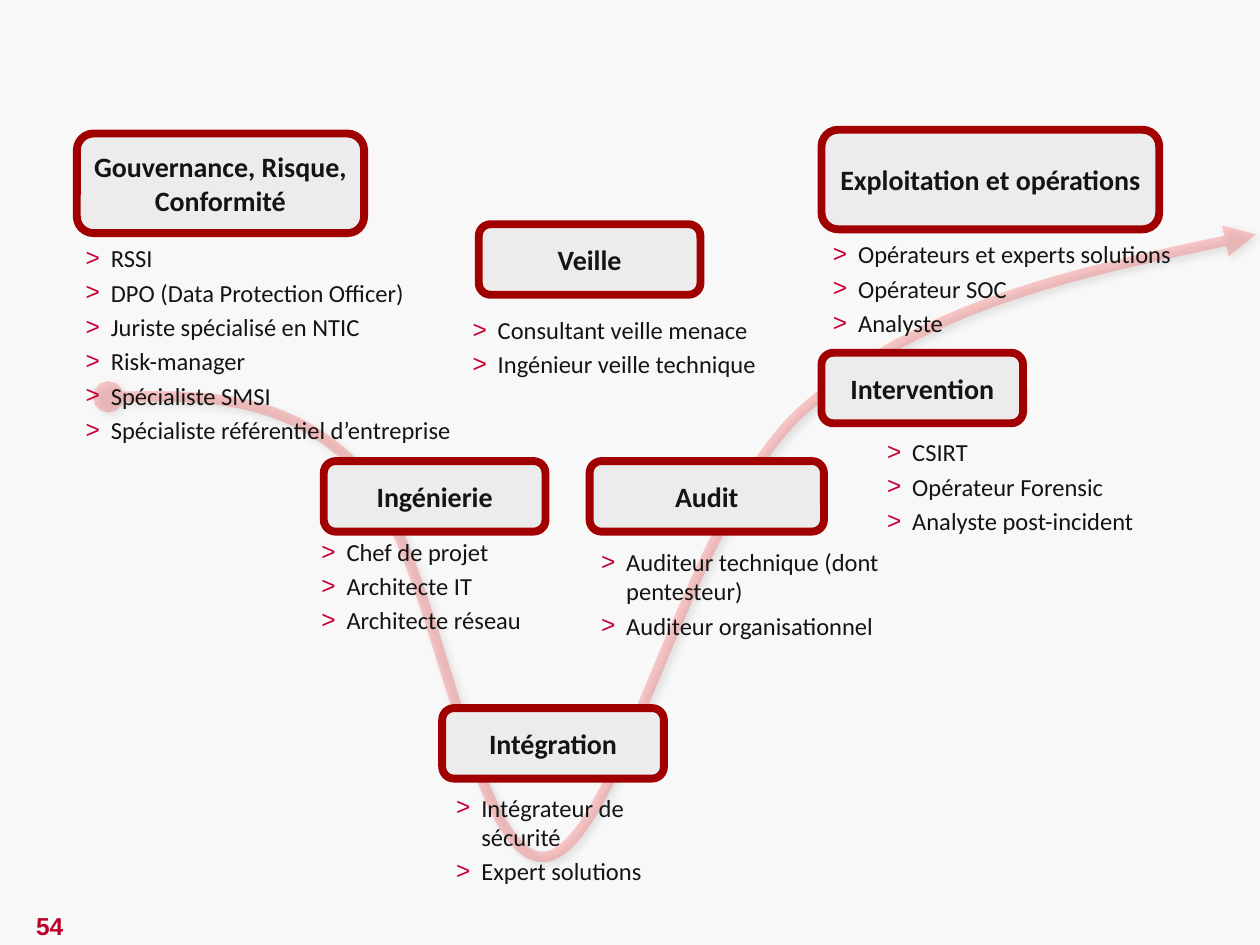
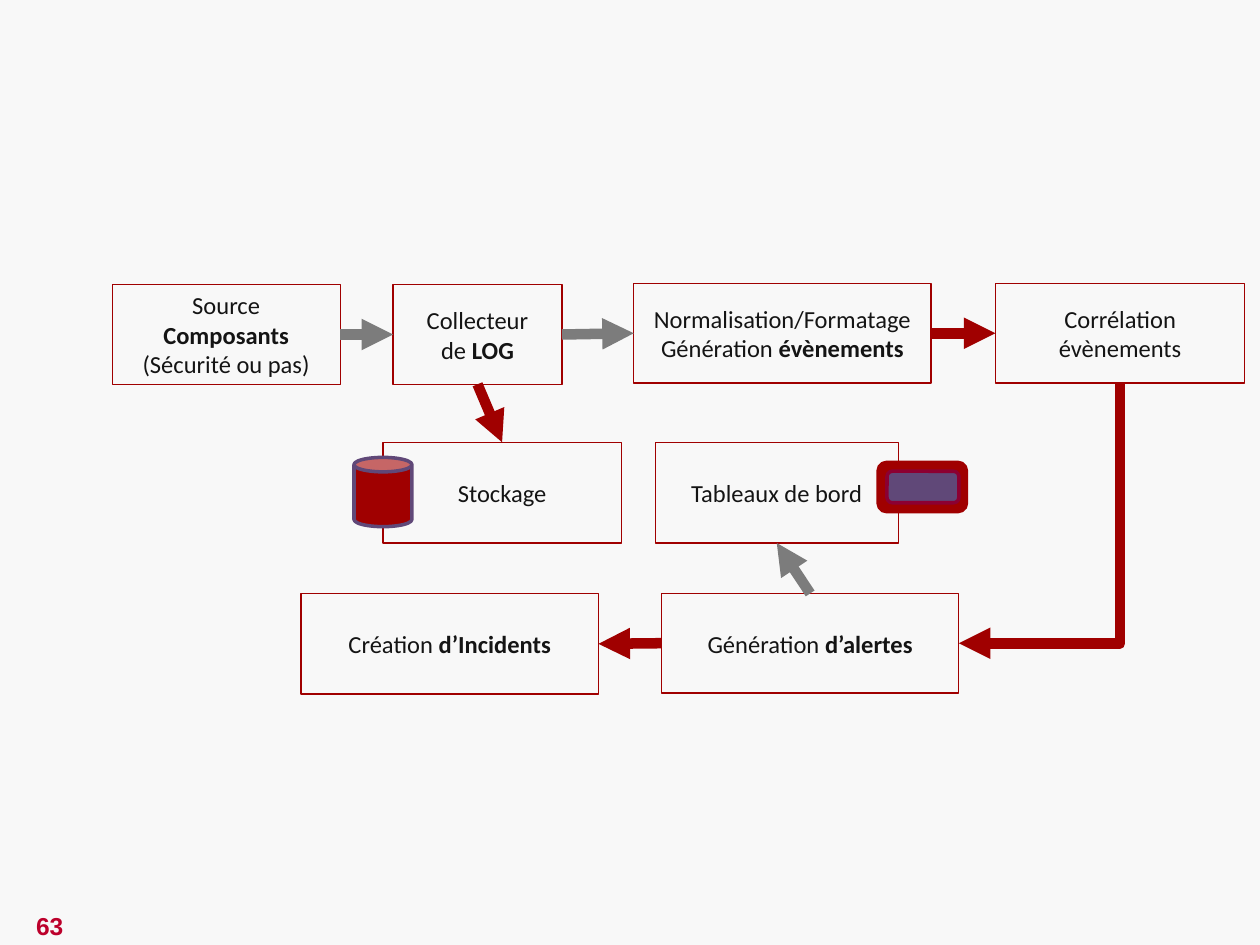
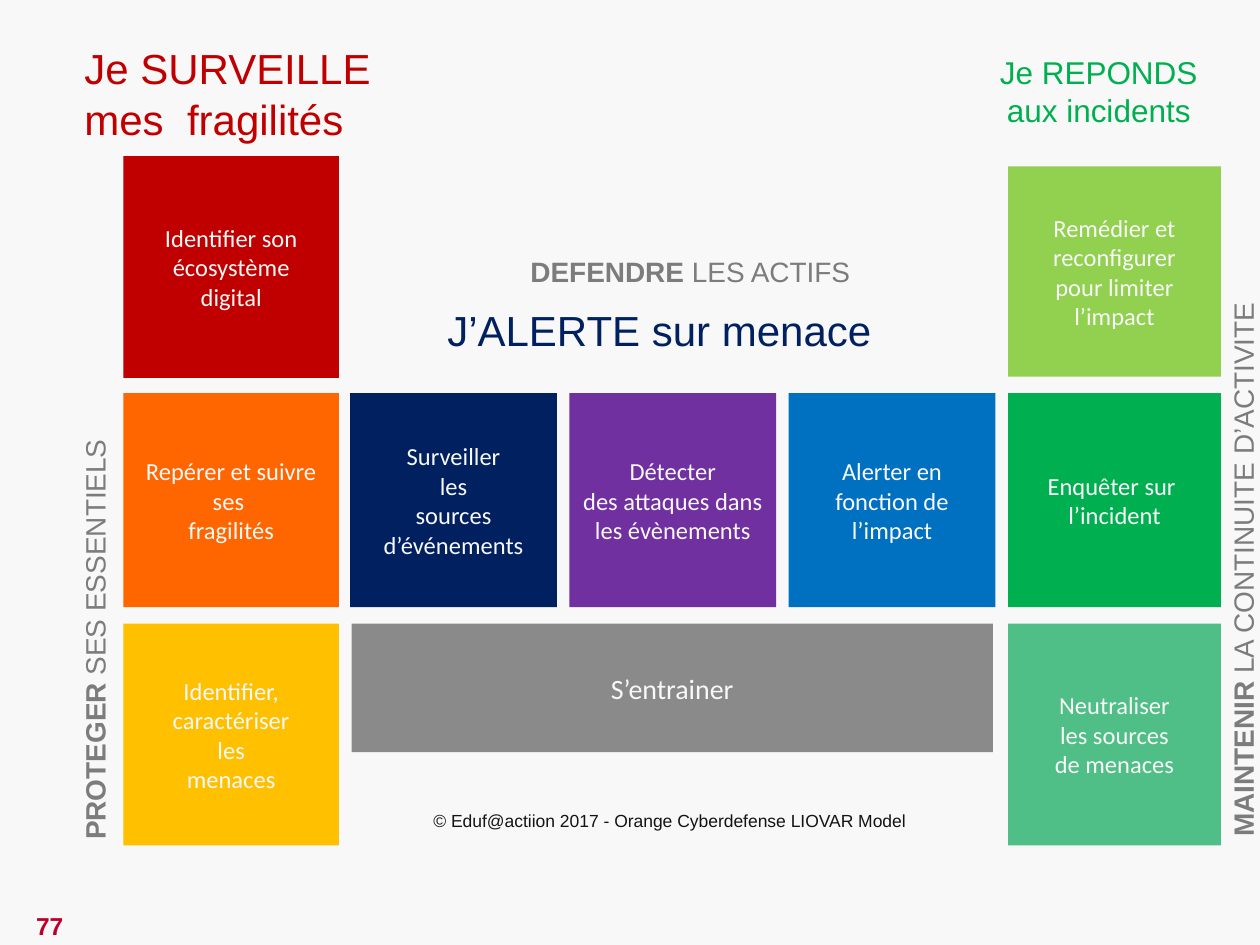
from lxml import etree
from pptx import Presentation
from pptx.dml.color import RGBColor
from pptx.enum.shapes import MSO_CONNECTOR, MSO_SHAPE
from pptx.enum.text import MSO_ANCHOR, PP_ALIGN
from pptx.oxml.ns import qn
from pptx.util import Emu, Inches, Pt

RECT, ROUND, CAN = MSO_SHAPE.RECTANGLE, MSO_SHAPE.ROUNDED_RECTANGLE, MSO_SHAPE.CAN
STRAIGHT, ELBOW = MSO_CONNECTOR.STRAIGHT, MSO_CONNECTOR.ELBOW
LEFT, CENTER = PP_ALIGN.LEFT, PP_ALIGN.CENTER
TOP, MIDDLE = MSO_ANCHOR.TOP, MSO_ANCHOR.MIDDLE
UP, WEST, DOWN, EAST = range(4)  # connection sites of a rectangle

# Grid: 100 columns by 75 rows
WIDTH, HEIGHT = Inches(10), Inches(7.5)
COLS, ROWS = 100, 75

COLORS = {
    "page": "F8F8F8", "ink": "141414", "number": "BC002B", "bullet": "C80032",
    "panel": "ECECEC", "red": "A00000", "curve": "FF2D2D", "gray": "7C7C7C",
    "violet": "604878", "plum": "8C0032", "crimson": "C00000", "orange": "FF6600",
    "gold": "FFC000", "navy": "002060", "purple": "7030A0", "blue": "0070C0",
    "lime": "92D050", "green": "00B050", "mint": "50BE87", "steel": "8A8A8A",
}

FONTS = {
    "number": {"name": "Arial", "size": Pt(14), "bold": True},
    "tag": {"name": "Calibri", "size": Pt(16), "bold": True},
    "body": {"name": "Calibri", "size": Pt(14), "bold": False},
    "wide": {"name": "Calibri", "size": Pt(16), "bold": False},
    "head": {"name": "Arial", "size": Pt(24), "bold": False},
    "sub": {"name": "Arial", "size": Pt(18), "bold": False},
    "goal": {"name": "Arial", "size": Pt(16), "bold": False},
    "credit": {"name": "Arial", "size": Pt(10), "bold": False},
}


def rgb(name):
    return RGBColor.from_string(COLORS[name])


def child(node, tag, **attrs):
    return etree.SubElement(node, qn(tag), {key: str(val) for key, val in attrs.items()})


class Deck:
    def __init__(self):
        self.file = Presentation()
        self.file.slide_width, self.file.slide_height = WIDTH, HEIGHT
        self.slide = None

    def place(self, *box):
        """Turn grid columns and rows, in turn, into lengths."""
        cells = (WIDTH / COLS, HEIGHT / ROWS)
        return [Emu(round(val * cells[i % 2])) for i, val in enumerate(box)]

    def page(self, number):
        self.slide = self.file.slides.add_slide(self.file.slide_layouts[6])
        fill = self.slide.background.fill
        fill.solid()
        fill.fore_color.rgb = rgb("page")
        self.text((0, 71.8, 7.9, 3.4), str(number), "number", "number",
                  align=CENTER, anchor=MIDDLE)

    def words(self, shape, text, font, color, align=CENTER, anchor=MIDDLE,
              inset=(0.1, 0.05), wrap=True, bullet=False):
        """Set one paragraph a line; stars enclose bold words."""
        frame = shape.text_frame
        side, edge = map(Inches, inset)
        form = {"word_wrap": wrap, "vertical_anchor": anchor, "margin_left": side,
                "margin_right": side, "margin_top": edge, "margin_bottom": edge}
        for key, val in form.items():
            setattr(frame, key, val)
        for i, line in enumerate(text.split("\n")):
            para = frame.add_paragraph() if i else frame.paragraphs[0]
            para.alignment = align
            if bullet:
                self.mark(para)
                if i:
                    para.space_before = Pt(2.8)
            for j, part in enumerate(line.split("*")):
                if part:
                    run = para.add_run()
                    run.text = part
                    for key, val in FONTS[font].items():
                        setattr(run.font, key, val)
                    run.font.bold = FONTS[font]["bold"] or j % 2 == 1
                    run.font.color.rgb = rgb(color)

    def mark(self, para):
        props = para._p.get_or_add_pPr()
        props.set("marL", str(Inches(0.2)))
        props.set("indent", str(-Inches(0.2)))
        child(child(props, "a:buClr"), "a:srgbClr", val=COLORS["bullet"])
        child(props, "a:buFont", typeface="Arial")
        child(props, "a:buChar", char=">")

    def text(self, box, text, font, color, turn=0, align=LEFT, anchor=TOP, **form):
        shape = self.slide.shapes.add_textbox(*self.place(*box))
        shape.rotation = turn
        self.words(shape, text, font, color, align=align, anchor=anchor, **form)

    def label(self, box, text, font, color, **form):
        self.text(box, text, font, color, wrap=False, **{"inset": (0.07, 0.04), **form})

    def list(self, box, text):
        self.text(box, text, "body", "ink", inset=(0.07, 0.04), bullet=True)

    def shape(self, kind, box, fill=None, line=None, width=0.75):
        shape = self.slide.shapes.add_shape(kind, *self.place(*box))
        shape.shadow.inherit = False
        for part, color in ((shape.fill, fill), (shape.line.fill, line)):
            if color:
                part.solid()
                part.fore_color.rgb = rgb(color)
            else:
                part.background()
        if line:
            shape.line.width = Pt(width)
        return shape

    def tag(self, box, text):
        self.words(self.shape(ROUND, box, "panel", "red", 4.5), text, "tag", "ink")

    def step(self, box, text):
        shape = self.shape(RECT, box, line="red")
        self.words(shape, text, "body", "ink")
        return shape

    def tile(self, box, fill, text, font="body"):
        self.words(self.shape(RECT, box, fill), text, font, "page")

    def link(self, start, out, end, into, color, kind=STRAIGHT):
        line = self.slide.shapes.add_connector(kind, 0, 0, 0, 0)
        line.begin_connect(start, out)
        line.end_connect(end, into)
        line.line.color.rgb = rgb(color)
        line.line.width = Pt(6)
        child(line.line._get_or_add_ln(), "a:tailEnd", type="triangle")
        child(line._element.spPr, "a:effectLst")
        if kind == ELBOW:
            self.bend(line)

    def bend(self, line):
        """Make one corner: down, then left."""
        wide, high = line.width, line.height
        left, top = line.left + (wide - high) // 2, line.top + (high - wide) // 2
        props = line._element.spPr
        frame = props.find(qn("a:xfrm"))
        for key in ("flipH", "flipV"):
            frame.attrib.pop(key, None)
        frame.set("rot", str(90 * 60000))
        line.left, line.top, line.width, line.height = left, top, high, wide
        props.find(qn("a:prstGeom")).set("prst", "bentConnector2")

    def curve(self, start, points, color, width, alpha):
        """Draw Bezier arcs, three points each, as one arrow."""
        pen = self.slide.shapes.build_freeform(*self.place(*start))
        pen.add_line_segments([self.place(*point) for point in points], close=False)
        shape = pen.convert_to_shape()
        track = shape._element.find(".//" + qn("a:path"))
        lines = track.findall(qn("a:lnTo"))
        for i in range(0, len(lines), 3):
            arc = child(track, "a:cubicBezTo")
            for line in lines[i:i + 3]:
                arc.append(line[0])
                track.remove(line)
        shape.fill.background()
        shape.line.color.rgb = rgb(color)
        shape.line.width = Pt(width)
        edge = shape.line._get_or_add_ln()
        child(edge.find(".//" + qn("a:srgbClr")), "a:alpha", val=alpha * 1000)
        child(edge, "a:headEnd", type="oval")
        child(edge, "a:tailEnd", type="triangle")
        shape.shadow.inherit = False
        cast = child(shape._element.spPr.find(qn("a:effectLst")), "a:outerShdw",
                     blurRad=Pt(4), dist=Pt(3), dir=45 * 60000, algn="tl", rotWithShape=0)
        child(child(cast, "a:srgbClr", val="000000"), "a:alpha", val=40000)


def jobs(deck):
    deck.page(54)
    deck.curve((8.6, 31.5),
               [(15.8, 31.4), (22.9, 31.3), (28.7, 37.4),
                (34.5, 43.5), (37.5, 68.8), (43.3, 68),
                (49.2, 67.2), (54.4, 40.8), (63.8, 32.5),
                (73.2, 24.3), (86.4, 21.4), (99.7, 18.6)], "curve", 6, 24)
    # Fields of work
    for box, text in (
        ((25.7, 36.6, 17.6, 5.6), "Ingénierie"),
        ((46.8, 36.6, 18.6, 5.6), "Audit"),
        ((65.2, 10.3, 26.8, 7.9), "Exploitation et opérations"),
        ((65.2, 28, 16, 5.6), "Intervention"),
        ((6.1, 10.6, 22.8, 7.9), "Gouvernance, Risque, Conformité"),
        ((38, 17.8, 17.6, 5.6), "Veille"),
        ((35.1, 56.2, 17.6, 5.6), "Intégration"),
    ):
        deck.tag(box, text)
    # Roles in each field
    for box, text in (
        ((24.8, 42.2, 17.8, 9.1), "Chef de projet\nArchitecte IT\nArchitecte réseau"),
        ((47, 43, 25.1, 9.2),
         "Auditeur technique (dont pentesteur)\nAuditeur organisationnel"),
        ((65.4, 18.6, 32.1, 7.9),
         "Opérateurs et experts solutions\nOpérateur SOC\nAnalyste"),
        ((36.8, 24.6, 28.1, 12.4), "Consultant veille menace\nIngénieur veille technique"),
        ((69.7, 34.3, 26.3, 12.4), "CSIRT\nOpérateur Forensic\nAnalyste post-incident"),
        ((6.1, 18.9, 30.7, 18.9),
         "RSSI\nDPO (Data Protection Officer)\nJuriste spécialisé en NTIC\n"
         "Risk-manager\nSpécialiste SMSI\nSpécialiste référentiel d’entreprise"),
        ((35.5, 62.5, 18.5, 9.5), "Intégrateur de sécurité\nExpert solutions"),
    ):
        deck.list(box, text)


def flow(deck):
    deck.page(63)
    # Steps
    source = deck.step((8.9, 22.6, 18.1, 7.9), "Source\n*Composants*\n(Sécurité ou pas)")
    logs = deck.step((31.2, 22.6, 13.4, 7.9), "Collecteur\nde *LOG*")
    events = deck.step((50.3, 22.5, 23.6, 7.9),
                       "Normalisation/Formatage\nGénération *évènements*")
    match = deck.step((79, 22.5, 19.8, 7.9), "Corrélation\névènements")
    alerts = deck.step((52.5, 47.1, 23.6, 7.9), "Génération *d’alertes*")
    cases = deck.step((23.9, 47.1, 23.6, 8), "Création *d’Incidents*")
    boards = deck.step((52, 35.1, 19.3, 8), "Tableaux de bord")
    store = deck.step((30.4, 35.1, 18.9, 8), "Stockage")
    # Screen
    deck.shape(ROUND, (69.7, 36.7, 7, 3.9), "red", "red", 2)
    deck.shape(ROUND, (70.4, 37.4, 5.7, 2.5), "violet", "plum", 2)
    # Arrows
    deck.link(source, EAST, logs, WEST, "gray")
    deck.link(logs, EAST, events, WEST, "gray")
    deck.link(events, EAST, match, WEST, "red")
    deck.link(alerts, WEST, cases, EAST, "red")
    deck.link(match, DOWN, alerts, EAST, "red", ELBOW)
    deck.link(logs, DOWN, store, UP, "red")
    deck.link(alerts, UP, boards, DOWN, "gray")
    # Disk
    deck.shape(CAN, (28.1, 36.3, 4.6, 5.5), "red", "violet", 2)


def model(deck):
    deck.page(77)
    # Tiles: left and width of columns, top and height of rows
    cols = [(9.8, 17.1), *((27.8 + 17.4 * i, 16.4) for i in range(3)), (80, 16.9)]
    rows = {"top": (12.4, 17.6), "peak": (13.2, 16.7),
            "mid": (31.2, 17), "low": (49.5, 17.6)}
    for col, row, fill, text in (
        (4, "low", "mint", "Neutraliser\nles sources\nde menaces"),
        (4, "mid", "green", "Enquêter sur \nl’incident"),
        (4, "peak", "lime", "Remédier et reconfigurer\npour limiter\nl’impact"),
        (1, "mid", "navy", "Surveiller\nles\nsources d’événements"),
        (2, "mid", "purple", "Détecter\ndes attaques dans les évènements"),
        (3, "mid", "blue", "Alerter en fonction de l’impact"),
        (0, "mid", "orange", "Repérer et suivre\nses \nfragilités"),
        (0, "top", "crimson", "Identifier son écosystème\ndigital"),
        (0, "low", "gold", "Identifier, caractériser\nles\nmenaces"),
    ):
        (left, wide), (top, high) = cols[col], rows[row]
        deck.tile((left, top, wide, high), fill, text)
    deck.tile((27.9, 49.5, 50.9, 10.2), "steel", "S’entrainer", "wide")
    # Goals
    for box, text, turn in (
        ((-9.3, 48.8, 33.6, 3.5), "*PROTEGER* SES ESSENTIELS", 270),
        ((41.4, 19.8, 27.1, 3.5), "*DEFENDRE* LES ACTIFS", 0),
        ((76.2, 42.9, 44.9, 3.5), "*MAINTENIR* LA CONTINUITE D’ACTIVITE", 270),
    ):
        deck.label(box, text, "goal", "gray", turn=turn)
    # Headings and credit
    deck.label((6, 3, 25.4, 8.8), "Je SURVEILLE\nmes  fragilités", "head", "crimson")
    deck.label((34.8, 23.8, 35.5, 4.8), "J’ALERTE sur menace", "head", "navy")
    deck.label((78.5, 3.8, 17.4, 6.8), "Je REPONDS\naux incidents", "sub", "green",
               align=CENTER)
    deck.label((34.4, 64.3, 37.8, 1.7),
               "© Eduf@actiion 2017 - Orange Cyberdefense LIOVAR Model",
               "credit", "ink", inset=(0, 0))


def main():
    deck = Deck()
    for build in (jobs, flow, model):
        build(deck)
    deck.file.save("out.pptx")


if __name__ == "__main__":
    main()
